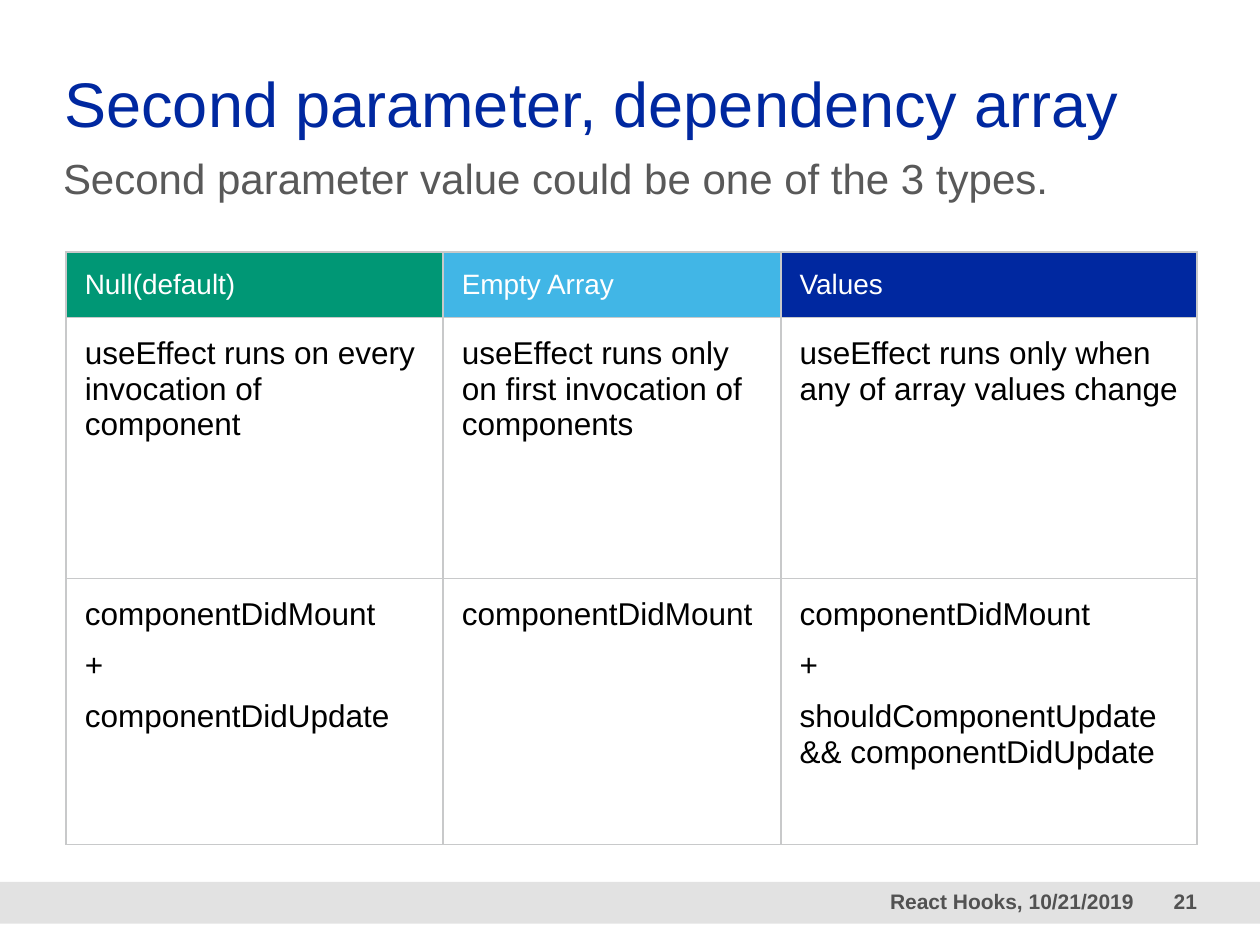
from lxml.etree import SubElement
from pptx import Presentation
from pptx.dml.color import RGBColor
from pptx.enum.shapes import MSO_SHAPE as SHAPE
from pptx.enum.text import MSO_ANCHOR as ANCHOR, PP_ALIGN as ALIGN
from pptx.oxml.ns import qn
from pptx.util import Cm, Pt

COLORS = {
    "blue": "0028A0", "green": "009775", "sky": "41B6E6", "white": "FFFFFF",
    "black": "000000", "grey": "595959", "footer": "525252",
    "band": "E2E2E2", "border": "C8C9CA",
}


def style(p, size, color, bold=False):
    p.font.name = "Arial"
    p.font.size = Pt(size)
    p.font.bold = bold
    p.font.color.rgb = RGBColor.from_string(COLORS[color])


def add_borders(cell):
    """Draw all four borders; call before filling, as lines precede the fill."""
    tc_pr = cell._tc.get_or_add_tcPr()
    for side in ("a:lnL", "a:lnR", "a:lnT", "a:lnB"):
        ln = SubElement(tc_pr, qn(side), w=str(Pt(1)))
        fill = SubElement(ln, qn("a:solidFill"))
        SubElement(fill, qn("a:srgbClr"), val=COLORS["border"])


prs = Presentation()
prs.slide_width, prs.slide_height = Cm(25.4), Cm(19.05)
s = prs.slides.add_slide(prs.slide_layouts[1])

# Footer
band = s.shapes.add_shape(SHAPE.RECTANGLE, 0, Cm(17.78), prs.slide_width, Cm(0.84))
band.shadow.inherit = False
band.fill.solid()
band.fill.fore_color.rgb = RGBColor.from_string(COLORS["band"])
band.line.fill.background()
footers = [("React Hooks, 10/21/2019", 11.58, 11.28), ("21", 22.86, 1.27)]
for text, left, width in footers:
    tf = s.shapes.add_textbox(Cm(left), Cm(17.78), Cm(width), Cm(0.84)).text_frame
    tf.margin_left = tf.margin_right = tf.margin_top = tf.margin_bottom = 0
    tf.word_wrap = True
    tf.vertical_anchor = ANCHOR.MIDDLE
    p = tf.paragraphs[0]
    p.text = text
    p.alignment = ALIGN.RIGHT
    p.line_spacing = 0.9
    style(p, 12, "footer", bold=True)

# Title and subtitle
title, subtitle = s.shapes.title, s.placeholders[1]
headings = [
    (title, "Second parameter, dependency array",
     (1.3, 1.27, 22.8, 1.55), ANCHOR.BOTTOM, 36, "blue"),
    (subtitle, "Second parameter value could be one of the 3 types.",
     (1.27, 2.97, 22.86, 1.22), ANCHOR.MIDDLE, 24, "grey"),
]
for sp, text, box, anchor, size, color in headings:
    sp.left, sp.top, sp.width, sp.height = map(Cm, box)
    tf = sp.text_frame
    tf.margin_left = tf.margin_right = tf.margin_top = tf.margin_bottom = 0
    tf.vertical_anchor = anchor
    p = tf.paragraphs[0]
    p.text = text
    p.alignment = ALIGN.LEFT
    p.space_before = Pt(0)
    p_pr = p._p.get_or_add_pPr()
    p_pr.set("marL", "0")
    p_pr.set("indent", "0")
    SubElement(p_pr, qn("a:buNone"))
    style(p, size, color)

# Table: each cell is a list of paragraphs
rows = [
    [["Null(default)"], ["Empty Array"], ["Values"]],
    [["useEffect runs on every invocation of component"],
     ["useEffect runs only on first invocation of components"],
     ["useEffect runs only when any of array values change"]],
    [["componentDidMount", "+", "componentDidUpdate"],
     ["componentDidMount"],
     ["componentDidMount", "+", "shouldComponentUpdate && componentDidUpdate"]],
]
col_widths = [7.6, 6.81, 8.39]
row_heights = [1.32, 5.26, 5.36]
header_fills = ["green", "sky", "blue"]

table = s.shapes.add_table(3, 3, Cm(1.33), Cm(5.08),
                           Cm(sum(col_widths)), Cm(sum(row_heights))).table
for column, width in zip(table.columns, col_widths):
    column.width = Cm(width)
for i, (row, height) in enumerate(zip(rows, row_heights)):
    table.rows[i].height = Cm(height)
    header = i == 0
    for j, lines in enumerate(row):
        cell = table.cell(i, j)
        add_borders(cell)
        cell.fill.solid()
        fill = header_fills[j] if header else "white"
        cell.fill.fore_color.rgb = RGBColor.from_string(COLORS[fill])
        cell.margin_left = cell.margin_right = Cm(0.38)
        cell.margin_top = cell.margin_bottom = Cm(0.13 if header else 0.38)
        cell.vertical_anchor = ANCHOR.MIDDLE if header else ANCHOR.TOP
        tf = cell.text_frame
        tf.text = "\n".join(lines)
        for p in tf.paragraphs:
            if len(lines) > 1:
                p.space_after = Pt(9)
            style(p, 16 if header else 18, "white" if header else "black")

prs.save("out.pptx")
